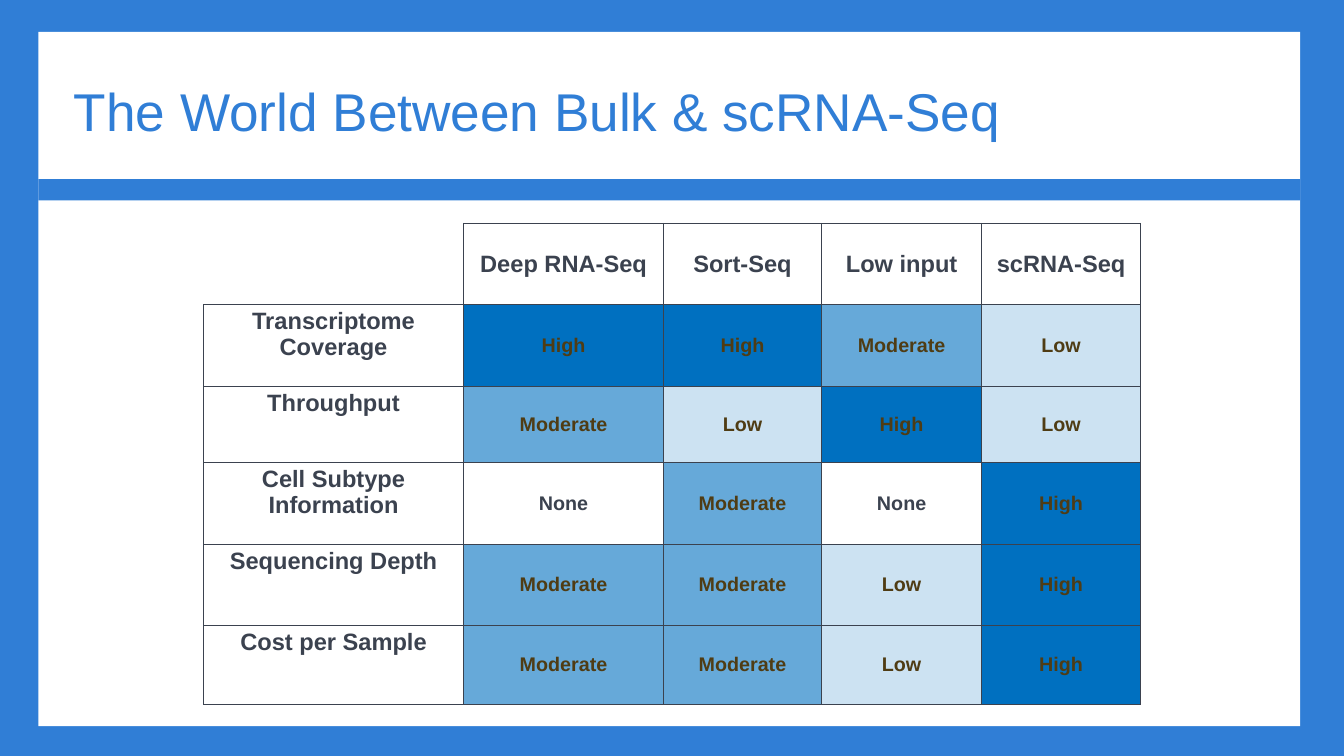
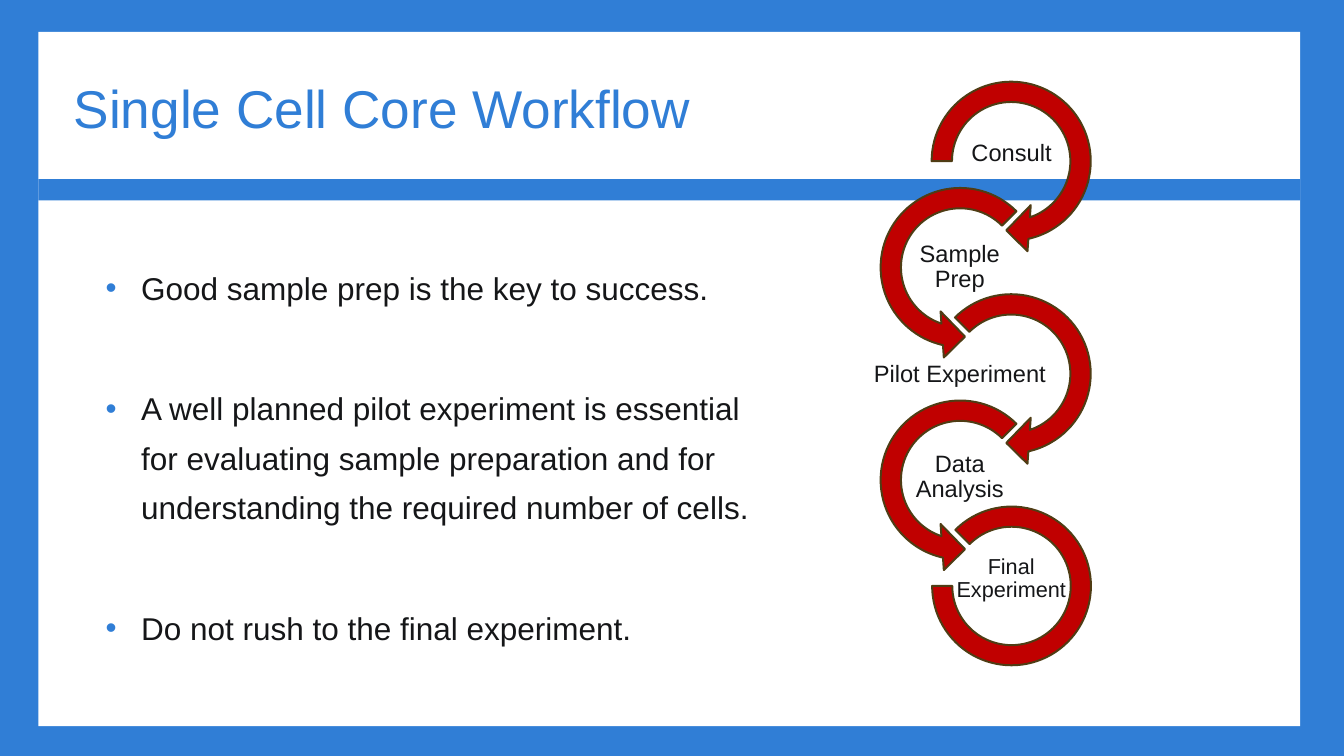
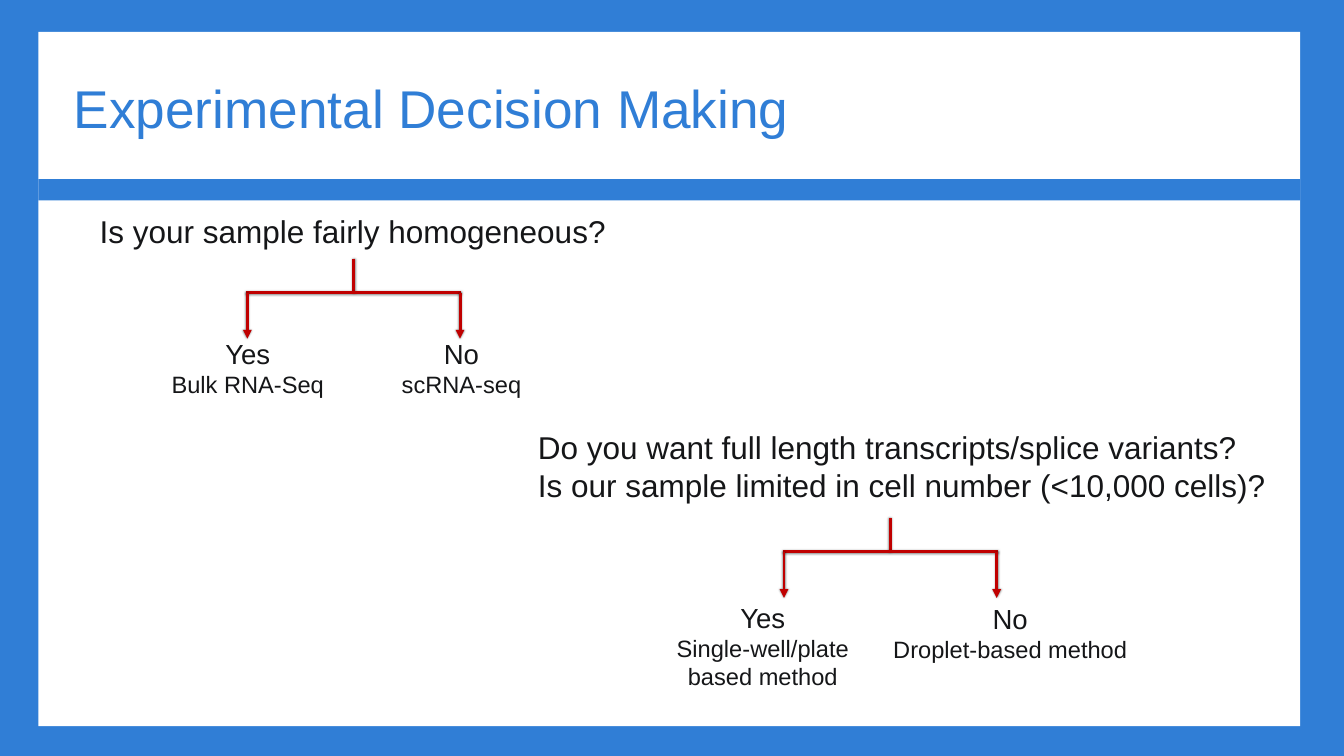
from lxml import etree
from pptx import Presentation
from pptx.dml.color import RGBColor
from pptx.enum.shapes import MSO_CONNECTOR, MSO_SHAPE
from pptx.enum.text import MSO_ANCHOR, MSO_AUTO_SIZE, PP_ALIGN
from pptx.oxml.ns import qn
from pptx.util import Inches, Pt

BLUE = RGBColor(0x30, 0x7E, 0xD6)
WHITE = RGBColor(0xFF, 0xFF, 0xFF)
SLATE = RGBColor(0x3B, 0x42, 0x4F)
BROWN = RGBColor(0x4F, 0x3C, 0x14)
RATING_BLUE = RGBColor(0x00, 0x70, 0xC0)
RED = RGBColor(0xC0, 0x00, 0x00)
INK = RGBColor(0x15, 0x16, 0x18)
BLACK = RGBColor(0, 0, 0)

RECTANGLE = MSO_SHAPE.RECTANGLE
ARROW_RIGHT = MSO_SHAPE.CIRCULAR_ARROW
ARROW_LEFT = MSO_SHAPE.LEFT_CIRCULAR_ARROW
ARC = MSO_SHAPE.BLOCK_ARC
STRAIGHT = MSO_CONNECTOR.STRAIGHT
LEFT, CENTER = PP_ALIGN.LEFT, PP_ALIGN.CENTER
TOP, MIDDLE, BOTTOM = MSO_ANCHOR.TOP, MSO_ANCHOR.MIDDLE, MSO_ANCHOR.BOTTOM
NO_AUTOFIT = MSO_AUTO_SIZE.NONE

FONT = "Arial"
CONTENT_LAYOUT, TITLE_LAYOUT = 1, 5
RATING_OPACITY = {"High": 100, "Moderate": 60, "Low": 20}
MARGINS = ("margin_left", "margin_right", "margin_top", "margin_bottom")

RATINGS = [
    ["", "Deep RNA-Seq", "Sort-Seq", "Low input", "scRNA-Seq"],
    ["Transcriptome Coverage", "High", "High", "Moderate", "Low"],
    ["Throughput", "Moderate", "Low", "High", "Low"],
    ["Cell Subtype Information", "None", "Moderate", "None", "High"],
    ["Sequencing Depth", "Moderate", "Moderate", "Low", "High"],
    ["Cost per Sample", "Moderate", "Moderate", "Low", "High"],
]
COLUMN_WIDTHS = [3.67, 2.82, 2.23, 2.26, 2.24]
ROW_HEIGHTS = [1.15, 1.15, 1.08, 1.15, 1.15, 1.11]

ADVICE = [
    "Good sample prep is the key to success.",
    "A well planned pilot experiment is essential for evaluating sample "
    "preparation and for understanding the required number of cells.",
    "Do not rush to the final experiment.",
]

LEFT_TURN = (ARROW_LEFT, 12.24, 2.61, (0.11, 11.42, 63, 189, 0.125))
STEPS = [
    ("Consult", (13.54, 1.81, 1.46), 24,
     (ARROW_RIGHT, 12.96, 2.61, (0.11, 11.42, 45, 108, 0.125))),
    ("Sample Prep", (12.81, 3.41, 1.46), 24, LEFT_TURN),
    ("Pilot Experiment", (12.24, 4.92, 2.6), 24,
     (ARROW_RIGHT, 12.96, 2.61, (0.11, 11.42, 45, 135, 0.125))),
    ("Data Analysis", (12.81, 6.37, 1.46), 24, LEFT_TURN),
    ("Final Experiment", (13.21, 7.81, 2.11), 22,
     (ARC, 13.15, 2.24, (135, 108, 0.127))),
]
STEP_TOP, STEP_PITCH, FINAL_TOP = 0.97, 1.5, 7.15


def apply(target, values):
    for name, value in values.items():
        setattr(target, name, value)


def add_element(parent, tag, **attributes):
    return etree.SubElement(parent, qn(tag), attributes)


def add_color(parent, color, opacity=100):
    value = add_element(parent, "a:srgbClr", val=str(color))
    if opacity < 100:
        add_element(value, "a:alpha", val=str(opacity * 1000))


def format_paragraph(paragraph, size, color, bold=False, **values):
    apply(paragraph, values)
    apply(paragraph.font, {"name": FONT, "size": Pt(size), "bold": bold})
    paragraph.font.color.rgb = color


def place(shape, left, top, width, height):
    apply(shape, {"left": Inches(left), "top": Inches(top),
                  "width": Inches(width), "height": Inches(height)})


def add_shape(page, kind, box, fill):
    shape = page.shapes.add_shape(kind, *map(Inches, box))
    shape.shadow.inherit = False
    shape.fill.solid()
    shape.fill.fore_color.rgb = fill
    shape.line.fill.background()
    return shape


def add_text(page, box, lines, anchor=TOP, wrap=False, inset=None, **values):
    frame = page.shapes.add_textbox(*map(Inches, box)).text_frame
    apply(frame, {"word_wrap": wrap, "vertical_anchor": anchor})
    if inset is not None:
        apply(frame, dict.fromkeys(MARGINS, Inches(inset)))
    for index, (text, size) in enumerate(lines):
        paragraph = frame.add_paragraph() if index else frame.paragraphs[0]
        paragraph.text = text
        format_paragraph(paragraph, size, INK, **values)


def add_page(deck, layout, title, anchor=BOTTOM, spacing=1.0):
    page = deck.slides.add_slide(deck.slide_layouts[layout])
    place(page.shapes.title, 1, 1, 14.6, 1.01)
    frame = page.shapes.title.text_frame
    frame.text = title
    apply(frame, {"vertical_anchor": anchor, "auto_size": NO_AUTOFIT,
                  **dict.fromkeys(MARGINS, Inches(0.04))})
    format_paragraph(frame.paragraphs[0], 54, BLUE, alignment=LEFT,
                     line_spacing=spacing)
    return page


def add_master_bands(deck, page):
    master = deck.slide_master
    master.background.fill.solid()
    master.background.fill.fore_color.rgb = BLUE
    bands = [((0.54, 0.45, 17.8, 9.8), WHITE), ((0.54, 2.53, 17.8, 0.3), BLUE)]
    for index, (box, color) in enumerate(bands):
        element = add_shape(page, RECTANGLE, box, color).element
        element.nvSpPr.cNvPr.set("id", str(101 + index))
        master.shapes.element.insert(2 + index, element)


def set_borders(cell, hidden=()):
    properties = cell._tc.get_or_add_tcPr()
    for index, side in enumerate(("L", "R", "T", "B")):
        border = etree.Element(qn(f"a:ln{side}"), {"w": str(Pt(1))})
        if side in hidden:
            add_element(border, "a:noFill")
        else:
            add_color(add_element(border, "a:solidFill"), SLATE)
        properties.insert(index, border)


def format_cell(cell, text, is_header, is_label):
    cell.text = text
    cell.vertical_anchor = TOP if is_label else MIDDLE
    opacity = RATING_OPACITY.get(text)
    if opacity:
        cell.fill.solid()
        cell.fill.fore_color.rgb = RATING_BLUE
        if opacity < 100:
            color = cell._tc.tcPr.find(".//" + qn("a:srgbClr"))
            add_element(color, "a:alpha", val=str(opacity * 1000))
    else:
        cell.fill.background()
    format_paragraph(cell.text_frame.paragraphs[0],
                     24 if is_header or is_label else 20,
                     BROWN if opacity else SLATE, bold=True, alignment=CENTER)
    set_borders(cell, ("L", "T") if is_header and is_label else ())


def add_ratings_table(page):
    box = (2.87, 3.15, sum(COLUMN_WIDTHS), sum(ROW_HEIGHTS))
    table = page.shapes.add_table(len(RATINGS), len(COLUMN_WIDTHS),
                                  *map(Inches, box)).table
    apply(table, {"first_row": False, "horz_banding": False})
    for column, width in zip(table.columns, COLUMN_WIDTHS):
        column.width = Inches(width)
    for row, height in zip(table.rows, ROW_HEIGHTS):
        row.height = Inches(height)
    for row, texts in enumerate(RATINGS):
        for column, text in enumerate(texts):
            format_cell(table.cell(row, column), text, row == 0, column == 0)


def add_advice(page):
    body = page.placeholders[1]
    place(body, 1.39, 3.58, 9.44, 5.67)
    frame = body.text_frame
    apply(frame, {"auto_size": NO_AUTOFIT, "vertical_anchor": TOP})
    for index, text in enumerate(ADVICE):
        paragraph = frame.add_paragraph() if index else frame.paragraphs[0]
        paragraph.text = text
        properties = paragraph._p.get_or_add_pPr()
        properties.set("marL", str(Inches(0.5)))
        properties.set("indent", str(-Inches(0.5)))
        add_color(add_element(properties, "a:buClr"), BLUE)
        add_element(properties, "a:buChar", char="•")
        format_paragraph(paragraph, 32, INK, alignment=LEFT, line_spacing=1.3,
                         space_before=Pt(73 if index else 0))


def add_workflow(page):
    for index, (text, label, size, turn) in enumerate(STEPS):
        kind, left, side, adjustments = turn
        top = FINAL_TOP if kind == ARC else STEP_TOP + index * STEP_PITCH
        shape = add_shape(page, kind, (left, top, side, side), RED)
        for position, value in enumerate(adjustments):
            shape.adjustments[position] = value
        shape.line.color.rgb = BROWN
        shape.line.width = Pt(2)
        add_text(page, (*label, 0.73), [(text, size)], anchor=MIDDLE, wrap=True,
                 inset=0.02, alignment=CENTER, line_spacing=0.9)


def add_line(page, start, end, arrow=False):
    line = page.shapes.add_connector(STRAIGHT, *map(Inches, (*start, *end)))
    line.line.color.rgb = RED
    line.line.width = Pt(3)
    properties = line.element.spPr
    if arrow:
        add_element(properties.find(qn("a:ln")), "a:tailEnd", type="triangle")
    effects = add_element(properties, "a:effectLst")
    shadow = add_element(effects, "a:outerShdw", blurRad=str(Pt(2)),
                         dist="0", dir="0", rotWithShape="0")
    add_color(shadow, BLACK, 50)


def add_fork(page, x, top):
    bar, tip = top + 0.48, top + 1.13
    add_line(page, (x, top), (x, bar))
    add_line(page, (x - 1.52, bar), (x + 1.52, bar))
    for branch in (x - 1.5, x + 1.5):
        add_line(page, (branch, bar), (branch, tip), arrow=True)


def add_answer(page, box, answer, method, wrap=False):
    add_text(page, box, [(answer, 28), (method, 24)], wrap=wrap,
             alignment=CENTER)


def add_decisions(page):
    add_text(page, (1.28, 2.94, 7.4, 0.64),
             [("Is your sample fairly homogeneous?", 32)], alignment=CENTER)
    add_fork(page, 4.99, 3.65)
    add_answer(page, (2.31, 4.7, 2.37, 0.98), "Yes", "Bulk RNA-Seq")
    add_answer(page, (5.53, 4.7, 1.96, 0.98), "No", "scRNA-seq")
    add_text(page, (7.49, 5.99, 10.55, 1.18),
             [("Do you want full length transcripts/splice variants?", 32),
              ("Is our sample limited in cell number (<10,000 cells)?", 32)],
             alignment=LEFT)
    add_fork(page, 12.56, 7.31)
    add_answer(page, (9.29, 8.43, 2.94, 1.38), "Yes",
               "Single-well/plate based method", wrap=True)
    add_answer(page, (12.48, 8.44, 3.54, 0.98), "No", "Droplet-based method")


def main():
    deck = Presentation()
    apply(deck, {"slide_width": Inches(18.96), "slide_height": Inches(10.67)})
    page = add_page(deck, TITLE_LAYOUT, "The World Between Bulk & scRNA-Seq",
                    anchor=MIDDLE, spacing=1.1)
    add_master_bands(deck, page)
    add_ratings_table(page)
    page = add_page(deck, CONTENT_LAYOUT, "Single Cell Core Workflow")
    add_workflow(page)
    add_advice(page)
    page = add_page(deck, TITLE_LAYOUT, "Experimental Decision Making")
    add_decisions(page)
    deck.save("out.pptx")


if __name__ == "__main__":
    main()
